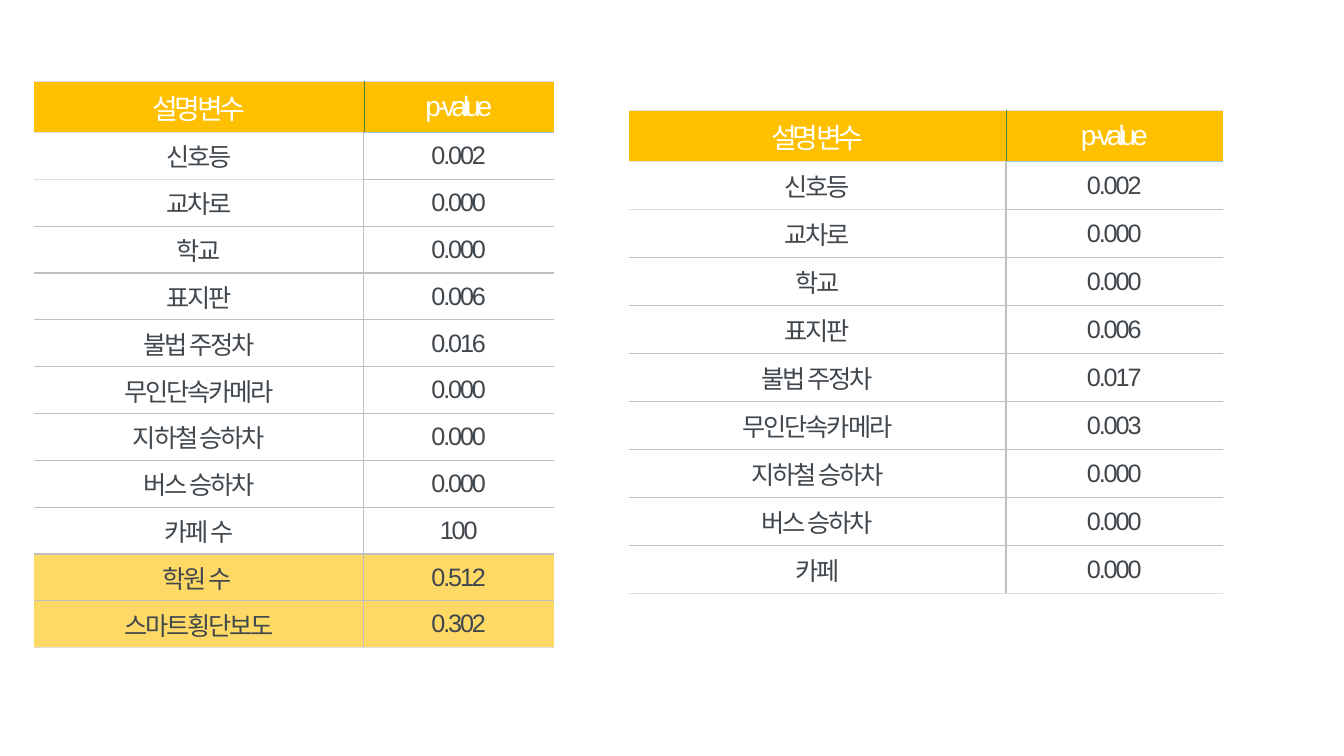
from lxml.etree import SubElement
from pptx import Presentation
from pptx.dml.color import RGBColor
from pptx.enum.text import MSO_ANCHOR as ANCHOR, PP_ALIGN as ALIGN
from pptx.oxml.ns import qn
from pptx.util import Cm, Pt

HEADER = ("설명 변수", "p-value")
ALL_VARIABLES = [
    ("신호등", "0.002"), ("교차로", "0.000"), ("학교", "0.000"),
    ("표지판", "0.006"), ("불법 주정차", "0.016"), ("무인단속카메라", "0.000"),
    ("지하철 승하차", "0.000"), ("버스 승하차", "0.000"), ("카페 수", "100"),
    ("학원 수 ", "0.512"), ("스마트횡단보도", "0.302"),
]
KEPT_VARIABLES = [
    ("신호등", "0.002"), ("교차로", "0.000"), ("학교", "0.000"),
    ("표지판", "0.006"), ("불법 주정차", "0.017"), ("무인단속카메라", "0.003"),
    ("지하철 승하차", "0.000"), ("버스 승하차", "0.000"), ("카페", "0.000"),
]


def rgb(color):
    return RGBColor.from_string(color)


def write(cell, text, size, color, spacing, font="Arial"):
    cell.vertical_anchor = ANCHOR.MIDDLE
    p = cell.text_frame.paragraphs[0]
    p.alignment = ALIGN.CENTER
    r = p.add_run()
    r.text = text
    r.font.name, r.font.size = font, Pt(size)
    r.font.color.rgb = rgb(color)
    r.font._element.set("spc", str(int(spacing * 100)))


def add_border(cell, side, line):
    ln = SubElement(cell._tc.get_or_add_tcPr(), qn(f"a:ln{side}"))
    if line is None:
        SubElement(ln, qn("a:noFill"))
        return
    color, width = line
    ln.set("w", str(Pt(width)))
    fill = SubElement(ln, qn("a:solidFill"))
    SubElement(fill, qn("a:srgbClr")).set("val", color)


class Deck:
    header_fill, row_fill, marked_fill = "FFC000", "FFFFFF", "FFD966"
    header_text = dict(size=20, color="FFFFFF", spacing=-3)
    row_text = dict(size=18, color="40474D", spacing=-1.5)
    grid, pale = ("BFBFBF", 1), ("DFDFDF", 1)
    header_divider, header_rule = ("548235", 0.5), ("9DC3E6", 0.5)

    def __init__(self, width, height):
        self.prs = Presentation()
        self.prs.slide_width, self.prs.slide_height = Cm(width), Cm(height)
        self.s = self.prs.slides.add_slide(self.prs.slide_layouts[6])

    def rule(self, edge, col, last):
        if edge == 1 and col == 1:
            return self.header_rule
        if edge in (0, 1, last) or (edge == 2 and col == 0):
            return self.pale
        return self.grid

    def borders(self, cell, i, j, last):
        divider = self.grid if i else self.header_divider
        add_border(cell, "L", divider if j else None)
        add_border(cell, "R", None if j else divider)
        add_border(cell, "T", self.rule(i, j, last))
        add_border(cell, "B", self.rule(i + 1, j, last))

    def table(self, left, top, widths, header_height, row_height, rows, marked=0):
        rows = [HEADER, *rows]
        count = len(rows)
        height = header_height + row_height * (count - 1)
        table = self.s.shapes.add_table(
            count, len(widths), Cm(left), Cm(top), Cm(sum(widths)), Cm(height)).table
        table.horz_banding = False
        for column, width in zip(table.columns, widths):
            column.width = Cm(width)
        for i, values in enumerate(rows):
            table.rows[i].height = Cm(row_height if i else header_height)
            fill = self.marked_fill if i >= count - marked else self.row_fill
            for j, value in enumerate(values):
                cell = table.cell(i, j)
                write(cell, value, **(self.row_text if i else self.header_text))
                self.borders(cell, i, j, count)
                cell.fill.solid()
                cell.fill.fore_color.rgb = rgb(fill if i else self.header_fill)


def main():
    deck = Deck(33.87, 19.05)
    deck.table(0.86, 2.06, (8.31, 4.78), 1.25, 1.18, ALL_VARIABLES, marked=2)
    deck.table(15.85, 2.79, (9.5, 5.46), 1.21, 1.21, KEPT_VARIABLES)
    deck.prs.save("out.pptx")


if __name__ == "__main__":
    main()
